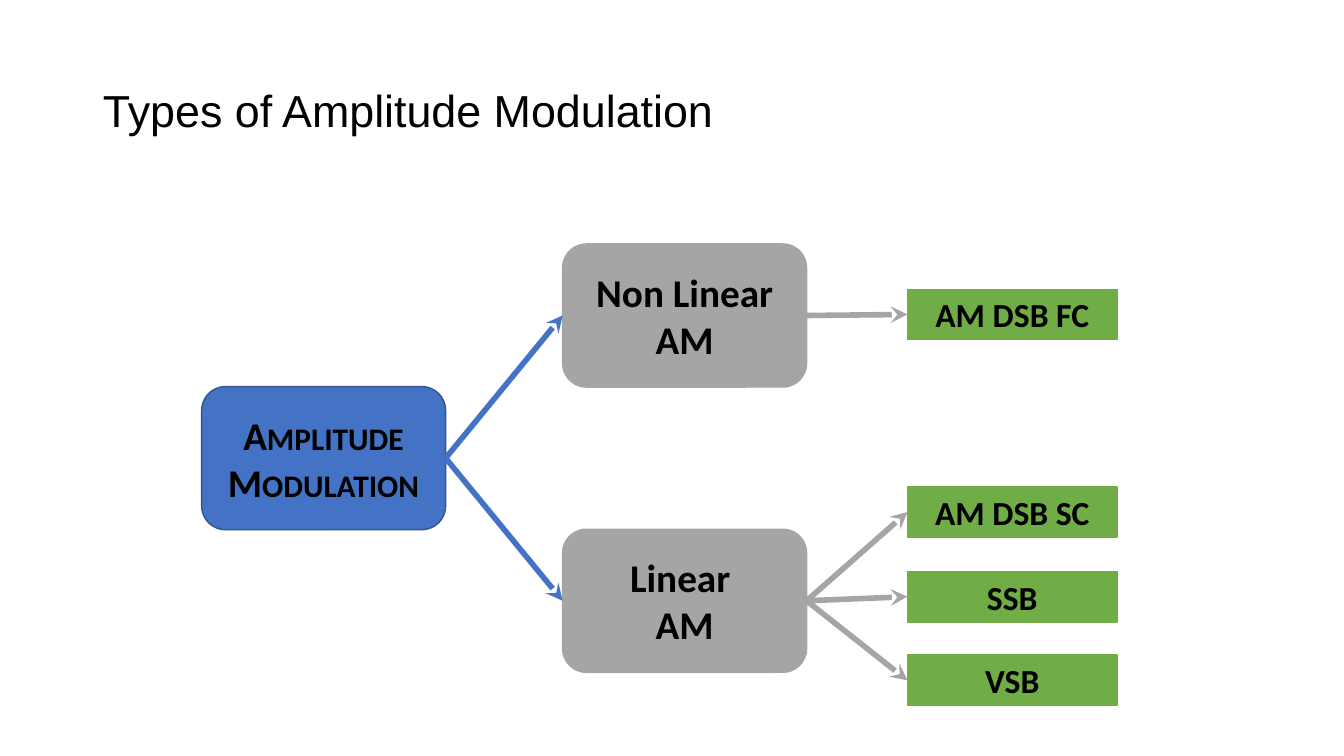
"""Build a slide showing the types of amplitude modulation as a tree."""
from dataclasses import dataclass

from lxml.etree import SubElement
from pptx import Presentation
from pptx.dml.color import RGBColor
from pptx.enum.shapes import MSO_CONNECTOR as Connector, MSO_SHAPE as Shape
from pptx.enum.text import MSO_ANCHOR as Anchor, PP_ALIGN as Align
from pptx.oxml.ns import qn
from pptx.util import Inches, Pt

TITLE = "Types of Amplitude Modulation"
ROOT = "Amplitude Modulation"
BRANCHES = [
    ("Non Linear AM", 2.42, [("AM DSB FC", 2.87)]),
    ("Linear \nAM", 5.25, [("AM DSB SC", 4.83), ("SSB", 5.67), ("VSB", 6.5)]),
]


@dataclass(frozen=True)
class Theme:
    text: str = "000000"
    root: str = "4472C4"
    root_edge: str = "325491"
    branch: str = "A5A5A5"
    leaf: str = "70AD47"
    heading_font: str = "Arial"
    body_font: str = "Calibri"
    title_size: int = 32
    node_size: int = 28
    leaf_size: int = 24
    edge_width: int = 1
    arrow_width: int = 4


THEME = Theme()
NODE_SIZE, LEAF_SIZE = (2.42, 1.42), (2.08, 0.5)
ROOT_X, BRANCH_X, LEAF_X = 2, 5.58, 9
LEFT_SITE, RIGHT_SITE = 1, 3


def write(frame, text, size, font=THEME.body_font, bold=True,
          align=Align.CENTER, spacing=1.0, small_caps=False):
    frame.word_wrap = True
    frame.vertical_anchor = Anchor.MIDDLE
    frame.text = text
    for paragraph in frame.paragraphs:
        paragraph.alignment = align
        paragraph.line_spacing = spacing
        for run in paragraph.runs:
            run.font.name = font
            run.font.size = Pt(size)
            run.font.bold = bold
            run.font.color.rgb = RGBColor.from_string(THEME.text)
            if small_caps:
                run.font._element.set("cap", "small")


def add_node(slide, kind, left, top, extent, text, fill, edge, size, **style):
    node = slide.shapes.add_shape(kind, Inches(left), Inches(top), *map(Inches, extent))
    node.shadow.inherit = False
    node.fill.solid()
    node.fill.fore_color.rgb = RGBColor.from_string(fill)
    node.line.color.rgb = RGBColor.from_string(edge)
    node.line.width = Pt(THEME.edge_width)
    write(node.text_frame, text, size, **style)
    return node


def add_arrow(slide, parent, child, color):
    arrow = slide.shapes.add_connector(Connector.STRAIGHT, 0, 0, 0, 0)
    arrow.begin_connect(parent, RIGHT_SITE)
    arrow.end_connect(child, LEFT_SITE)
    arrow.line.color.rgb = RGBColor.from_string(color)
    arrow.line.width = Pt(THEME.arrow_width)
    SubElement(arrow.line._get_or_add_ln(), qn("a:tailEnd"), type="stealth")
    SubElement(arrow._element.spPr, qn("a:effectLst"))


def main():
    deck = Presentation()
    deck.slide_width, deck.slide_height = Inches(13.33), Inches(7.5)
    slide = deck.slides.add_slide(deck.slide_layouts[5])

    title = slide.shapes.title
    title.left, title.top = Inches(0.92), Inches(0.4)
    title.width, title.height = Inches(11.5), Inches(1.45)
    write(title.text_frame, TITLE, THEME.title_size, font=THEME.heading_font,
          bold=False, align=Align.LEFT, spacing=0.9)

    root_top = (BRANCHES[0][1] + BRANCHES[-1][1]) / 2
    root = add_node(slide, Shape.ROUNDED_RECTANGLE, ROOT_X, root_top, NODE_SIZE, ROOT,
                    THEME.root, THEME.root_edge, THEME.node_size, small_caps=True)
    for branch_text, branch_top, leaves in BRANCHES:
        branch = add_node(slide, Shape.ROUNDED_RECTANGLE, BRANCH_X, branch_top, NODE_SIZE,
                          branch_text, THEME.branch, THEME.branch, THEME.node_size)
        add_arrow(slide, root, branch, THEME.root)
        for leaf_text, leaf_top in leaves:
            leaf = add_node(slide, Shape.RECTANGLE, LEAF_X, leaf_top, LEAF_SIZE,
                            leaf_text, THEME.leaf, THEME.leaf, THEME.leaf_size)
            add_arrow(slide, branch, leaf, THEME.branch)

    deck.save("out.pptx")


if __name__ == "__main__":
    main()
